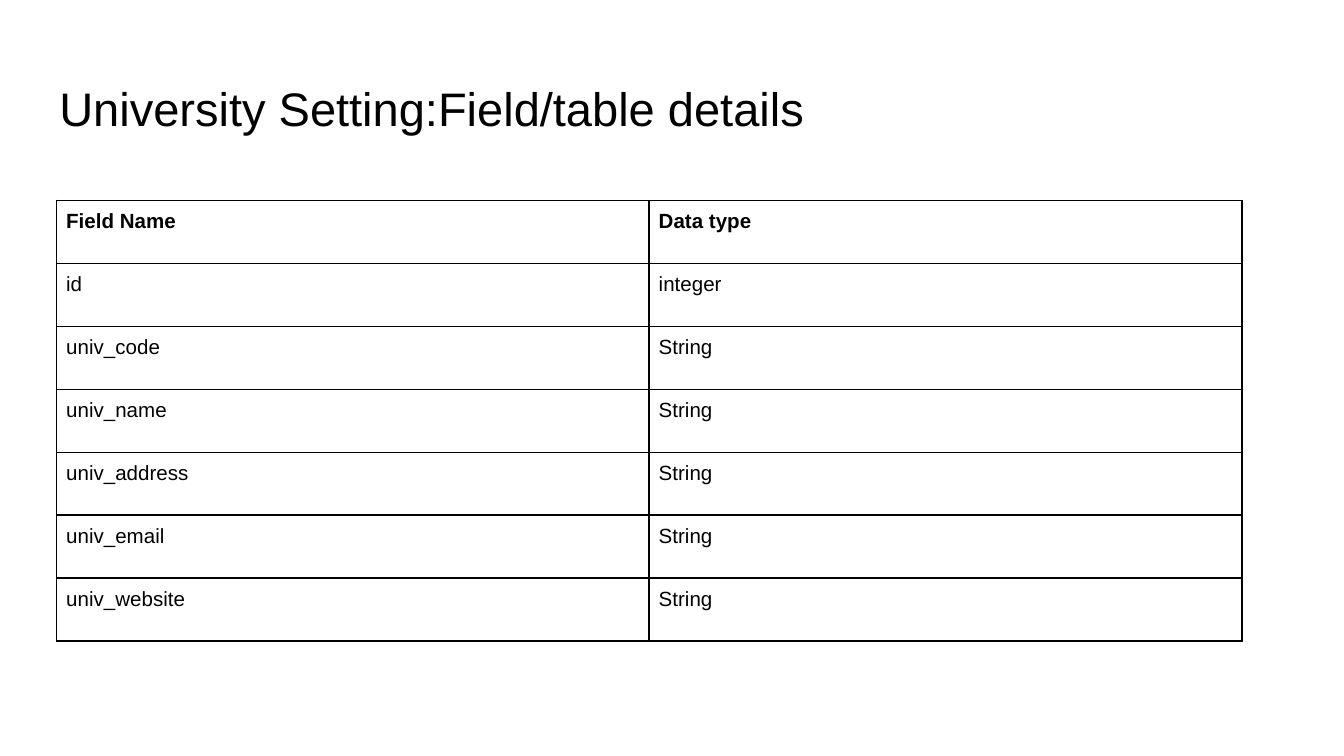
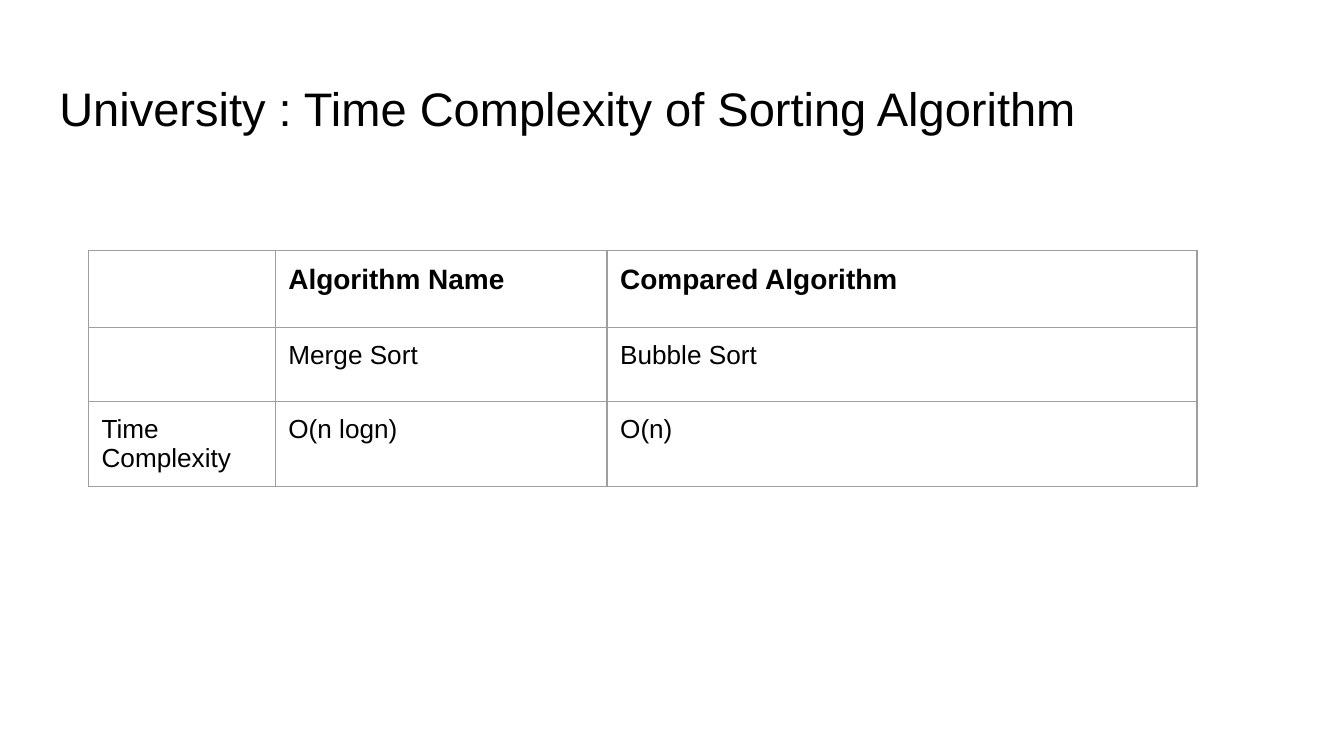
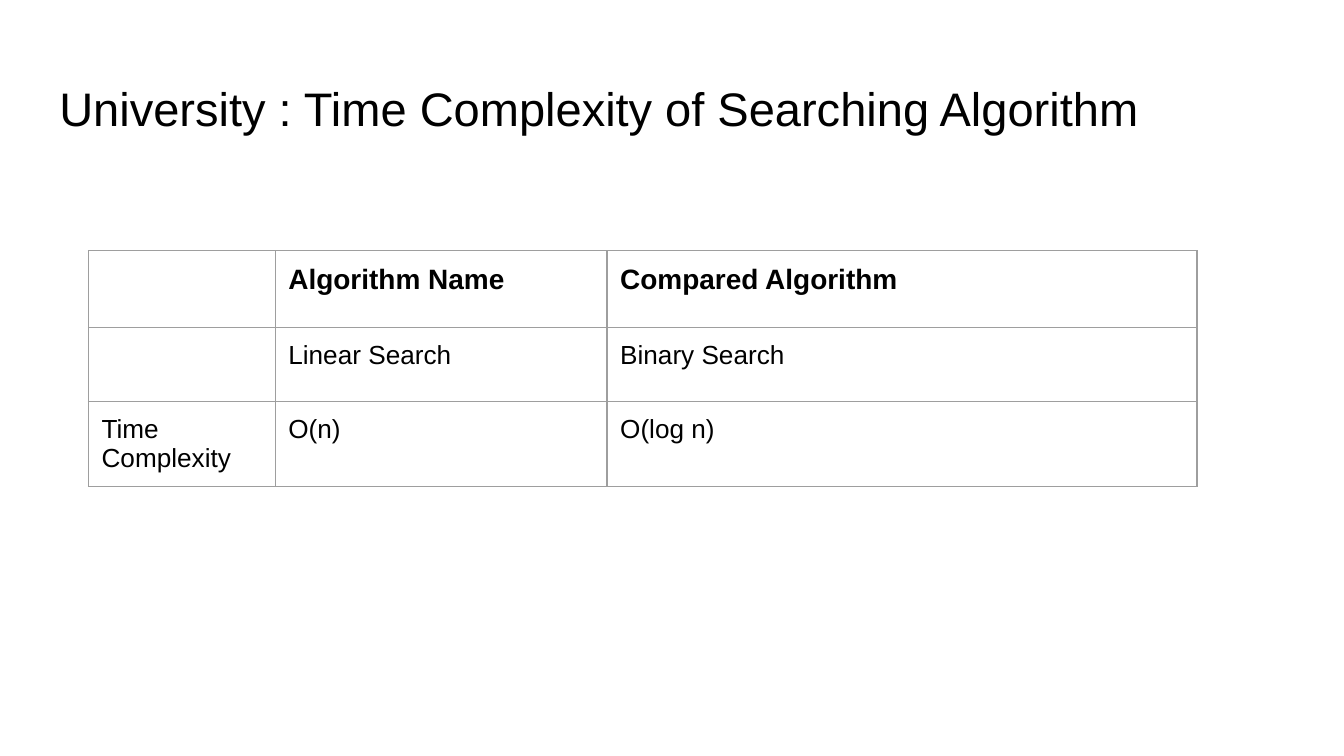
from lxml.etree import SubElement
from pptx import Presentation
from pptx.dml.color import RGBColor
from pptx.enum.text import MSO_ANCHOR, PP_ALIGN
from pptx.oxml.ns import qn
from pptx.util import Cm, Pt

BLACK = RGBColor(0x00, 0x00, 0x00)
GREY = RGBColor(0x9E, 0x9E, 0x9E)
WHITE = RGBColor(0xFF, 0xFF, 0xFF)
FONT = "Arial"
TITLE_ONLY = 5


class Deck:
    def __init__(self):
        self.presentation = Presentation()
        self.presentation.slide_width = Cm(25.4)
        self.presentation.slide_height = Cm(14.29)
        self.page = None

    def add_page(self, title):
        layout = self.presentation.slide_layouts[TITLE_ONLY]
        self.page = self.presentation.slides.add_slide(layout)
        background = self.page.background.fill
        background.solid()
        background.fore_color.rgb = WHITE
        self.place_title(title)

    def place_title(self, text):
        box = self.page.shapes.title
        box.left, box.top, box.width, box.height = Cm(0.87), Cm(1.24), Cm(23.67), Cm(1.59)
        frame = box.text_frame
        frame.word_wrap = True
        frame.vertical_anchor = MSO_ANCHOR.MIDDLE
        self.set_margins(frame, Cm(0.25))
        self.add_text(frame, text, 25.2)

    def set_margins(self, target, margin):
        target.margin_left = target.margin_right = margin
        target.margin_top = target.margin_bottom = margin

    def add_text(self, frame, text, size, bold=False):
        para = frame.paragraphs[0]
        para.alignment = PP_ALIGN.LEFT
        span = para.add_run()
        span.text = text
        span.font.name = FONT
        span.font.size = Pt(size)
        span.font.bold = bold
        span.font.color.rgb = BLACK

    def draw_borders(self, cell, color, width):
        properties = cell._tc.get_or_add_tcPr()
        for side in ("a:lnL", "a:lnR", "a:lnT", "a:lnB"):
            line = SubElement(properties, qn(side), w=str(Pt(width)))
            fill = SubElement(line, qn("a:solidFill"))
            SubElement(fill, qn("a:srgbClr"), val=str(color))

    def add_table(self, left, top, widths, heights, rows, margin,
                  header_size, body_size, border_color, border_width):
        frame = self.page.shapes.add_table(
            len(heights), len(widths), left, top, sum(widths), sum(heights))
        table = frame.table
        table.first_row = table.horz_banding = False
        for column, width in zip(table.columns, widths):
            column.width = width
        for row, height in zip(table.rows, heights):
            row.height = height
        for row_index, texts in enumerate(rows):
            header = row_index == 0
            for column_index, text in enumerate(texts):
                cell = table.cell(row_index, column_index)
                self.set_margins(cell, margin)
                self.draw_borders(cell, border_color, border_width)
                cell.fill.background()
                if text:
                    size = header_size if header else body_size
                    self.add_text(cell.text_frame, text, size, header)

    def add_field_table(self, fields):
        rows = [("Field Name", "Data type"), *fields]
        self.add_table(Cm(1.07), Cm(3.79), [Cm(11.2)] * 2, [Cm(1.19)] * len(rows),
                       rows, Cm(0.18), 11, 11, BLACK, 1)

    def add_complexity_table(self, names, complexities):
        rows = [("", "Algorithm Name", "Compared Algorithm"),
                ("", *names),
                ("Time Complexity", *complexities)]
        self.add_table(Cm(1.67), Cm(4.74), [Cm(3.53), Cm(6.27), Cm(11.15)],
                       [Cm(1.45), Cm(1.4), Cm(1.4)],
                       rows, Cm(0.25), 15, 14, GREY, 0.75)


def main():
    deck = Deck()

    deck.add_page("University Setting:Field/table details")
    text_fields = ("code", "name", "address", "email", "website")
    deck.add_field_table([("id", "integer")]
                         + [(f"univ_{field}", "String") for field in text_fields])

    deck.add_page("University : Time Complexity of Sorting Algorithm")
    deck.add_complexity_table(("Merge Sort", "Bubble Sort"), ("O(n logn)", "O(n)"))

    deck.add_page("University : Time Complexity of Searching Algorithm")
    deck.add_complexity_table(("Linear Search", "Binary Search"), ("O(n)", "O(log n)"))

    deck.presentation.save("out.pptx")


if __name__ == "__main__":
    main()
